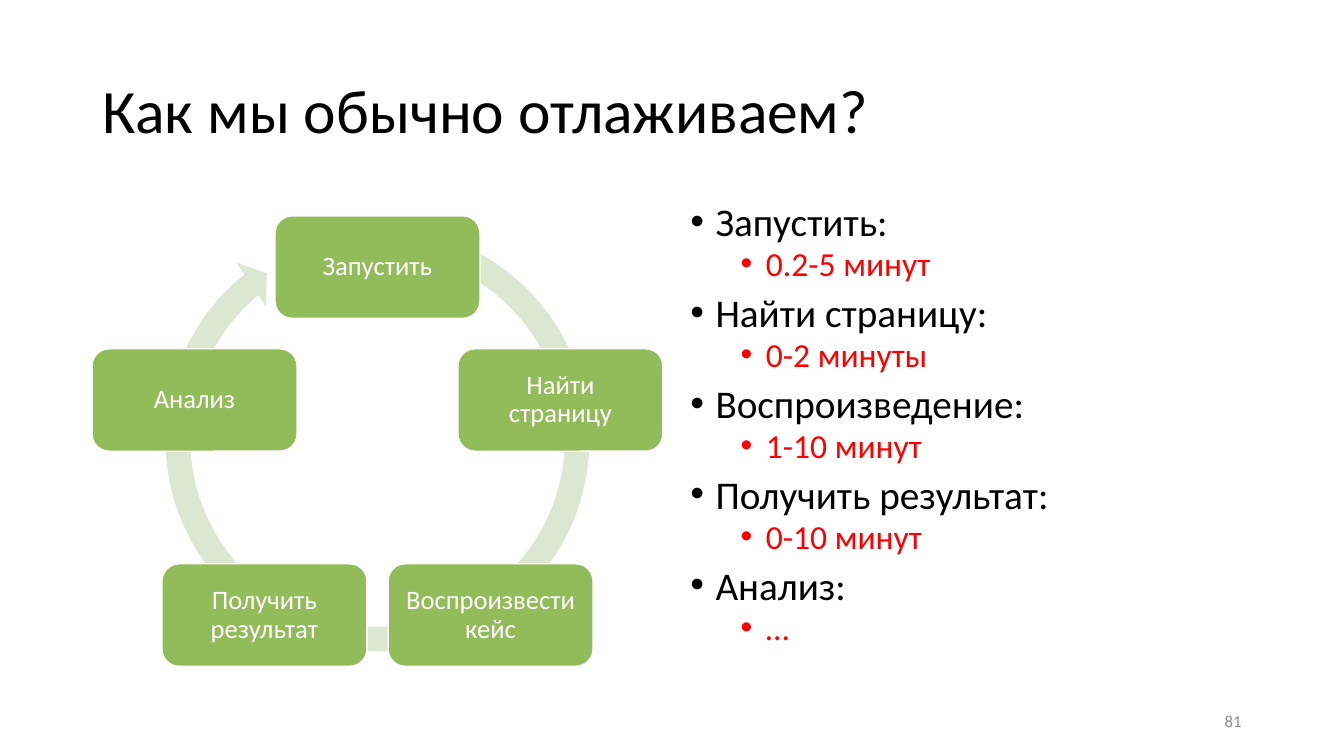
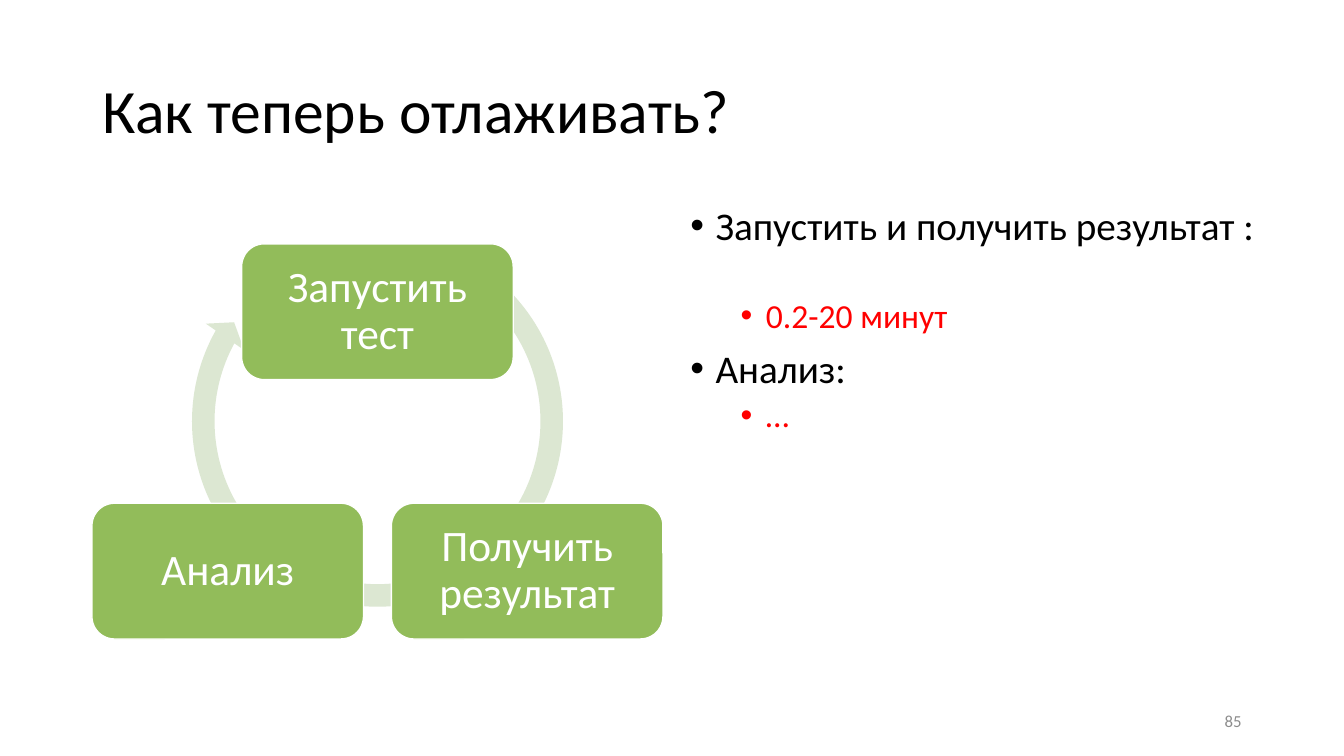
import math
from dataclasses import dataclass

import lxml.etree
import pptx
import pptx.dml.color
import pptx.enum.shapes
import pptx.enum.text
import pptx.oxml.ns
import pptx.util

FONT = "Calibri"
BLACK = "000000"
WHITE = "FFFFFF"
GREEN = "92BC5A"
PALE_GREEN = "DCE7D2"
RED = "FF0000"
GREY = "8C8C8C"
CYCLE_CENTER_X = 269.64

Pt = pptx.util.Pt
Align = pptx.enum.text.PP_ALIGN
Anchor = pptx.enum.text.MSO_ANCHOR
Preset = pptx.enum.shapes.MSO_SHAPE


@dataclass(frozen=True)
class Cycle:
    steps: tuple[str, ...]
    center_y: float
    radius: float
    step_width: float
    step_height: float
    step_inset: float
    text_size: float
    arrow_top: float
    arrow_size: float
    arrow_adjustments: tuple[float, ...]


@dataclass(frozen=True)
class Timing:
    stage: str
    duration: str
    gap: float = 5


@dataclass(frozen=True)
class DebugSlide:
    title: str
    number: str
    cycle: Cycle
    timings: tuple[Timing, ...]
    line_spacing: float


SLIDES = (
    DebugSlide(
        "Как мы обычно отлаживаем?",
        "81",
        Cycle(
            ("Запустить", "Найти страницу", "Воспроизвести кейс", "Получить результат", "Анализ"),
            328.2, 137.4, 146.4, 73.2, 9.2, 19,
            152.6, 322.6, (0.055, 3.307, 138.49, 173.417, 0.058),
        ),
        (
            Timing("Запустить:", "0.2-5 минут"),
            Timing("Найти страницу:", "0-2 минуты"),
            Timing("Воспроизведение:", "1-10 минут"),
            Timing("Получить результат:", "0-10 минут"),
            Timing("Анализ:", "…"),
        ),
        0.8,
    ),
    DebugSlide(
        "Как теперь отлаживать?",
        "85",
        Cycle(
            ("Запустить тест", "Получить результат", "Анализ"),
            346.2, 123.5, 194, 97, 14, 31,
            159.8, 282.2, (0.057, 3.405, 125.366, 181.883, 0.059),
        ),
        (
            Timing("Запустить и получить результат :", "0.2-20 минут", 36),
            Timing("Анализ:", "…"),
        ),
        0.9,
    ),
)


def color(value: str) -> pptx.dml.color.RGBColor:
    return pptx.dml.color.RGBColor.from_string(value)


def style(paragraph, size: float, text_color: str, align=Align.LEFT, spacing: float = 1) -> None:
    paragraph.alignment = align
    paragraph.line_spacing = spacing
    paragraph.font.name = FONT
    paragraph.font.size = Pt(size)
    paragraph.font.color.rgb = color(text_color)


def add_frame(slide, left: float, top: float, width: float, height: float, anchor):
    frame = slide.shapes.add_textbox(Pt(left), Pt(top), Pt(width), Pt(height)).text_frame
    frame.word_wrap = True
    frame.vertical_anchor = anchor
    return frame


def add_preset(slide, preset, left: float, top: float, width: float, height: float, fill: str):
    shape = slide.shapes.add_shape(preset, Pt(left), Pt(top), Pt(width), Pt(height))
    shape.shadow.inherit = False
    shape.fill.solid()
    shape.fill.fore_color.rgb = color(fill)
    return shape


def add_cycle(slide, cycle: Cycle) -> None:
    size = cycle.arrow_size
    arrow = add_preset(
        slide, Preset.CIRCULAR_ARROW, CYCLE_CENTER_X - size / 2, cycle.arrow_top, size, size, PALE_GREEN
    )
    arrow.line.fill.background()
    for index, adjustment in enumerate(cycle.arrow_adjustments):
        arrow.adjustments[index] = adjustment

    for index, label in enumerate(cycle.steps):
        angle = 2 * math.pi * index / len(cycle.steps)
        step = add_preset(
            slide,
            Preset.ROUNDED_RECTANGLE,
            CYCLE_CENTER_X + cycle.radius * math.sin(angle) - cycle.step_width / 2,
            cycle.center_y - cycle.radius * math.cos(angle) - cycle.step_height / 2,
            cycle.step_width,
            cycle.step_height,
            GREEN,
        )
        step.line.color.rgb = color(WHITE)
        step.line.width = Pt(1)
        frame = step.text_frame
        frame.word_wrap = True
        frame.vertical_anchor = Anchor.MIDDLE
        frame.margin_left = frame.margin_right = Pt(cycle.step_inset)
        frame.margin_top = frame.margin_bottom = Pt(cycle.step_inset)
        frame.text = label
        style(frame.paragraphs[0], cycle.text_size, WHITE, Align.CENTER, 0.9)


def add_bullet(paragraph, indent: float) -> None:
    properties = paragraph._p.get_or_add_pPr()
    properties.set("marL", str(Pt(indent)))
    properties.set("indent", str(Pt(-18)))
    qn = pptx.oxml.ns.qn
    lxml.etree.SubElement(properties, qn("a:buFont")).set("typeface", "Arial")
    lxml.etree.SubElement(properties, qn("a:buChar")).set("char", "•")


def add_timings(slide, timings: tuple[Timing, ...], spacing: float) -> None:
    frame = add_frame(slide, 486, 144, 420, 342.7, Anchor.TOP)
    items = [
        item
        for timing in timings
        for item in (
            (timing.stage, 0, 10, 28, BLACK),
            (timing.duration, 1, timing.gap, 24, RED),
        )
    ]
    for index, (text, level, gap, size, text_color) in enumerate(items):
        paragraph = frame.add_paragraph() if index else frame.paragraphs[0]
        paragraph.text = text
        paragraph.level = level
        add_bullet(paragraph, 18 + 36 * level)
        if index:
            paragraph.space_before = Pt(gap)
        style(paragraph, size, text_color, spacing=spacing)


def add_debug_slide(deck, content: DebugSlide) -> None:
    slide = deck.slides.add_slide(deck.slide_layouts[6])
    title = add_frame(slide, 66, 28.8, 828, 104.4, Anchor.MIDDLE)
    title.text = content.title
    style(title.paragraphs[0], 44, BLACK, spacing=0.9)
    add_cycle(slide, content.cycle)
    add_timings(slide, content.timings, content.line_spacing)
    number = add_frame(slide, 678, 500.5, 216, 28.8, Anchor.MIDDLE)
    number.text = content.number
    style(number.paragraphs[0], 12, GREY, Align.RIGHT)


def main() -> None:
    deck = pptx.Presentation()
    deck.slide_width = Pt(960)
    deck.slide_height = Pt(540)
    for content in SLIDES:
        add_debug_slide(deck, content)
    deck.save("out.pptx")


if __name__ == "__main__":
    main()
